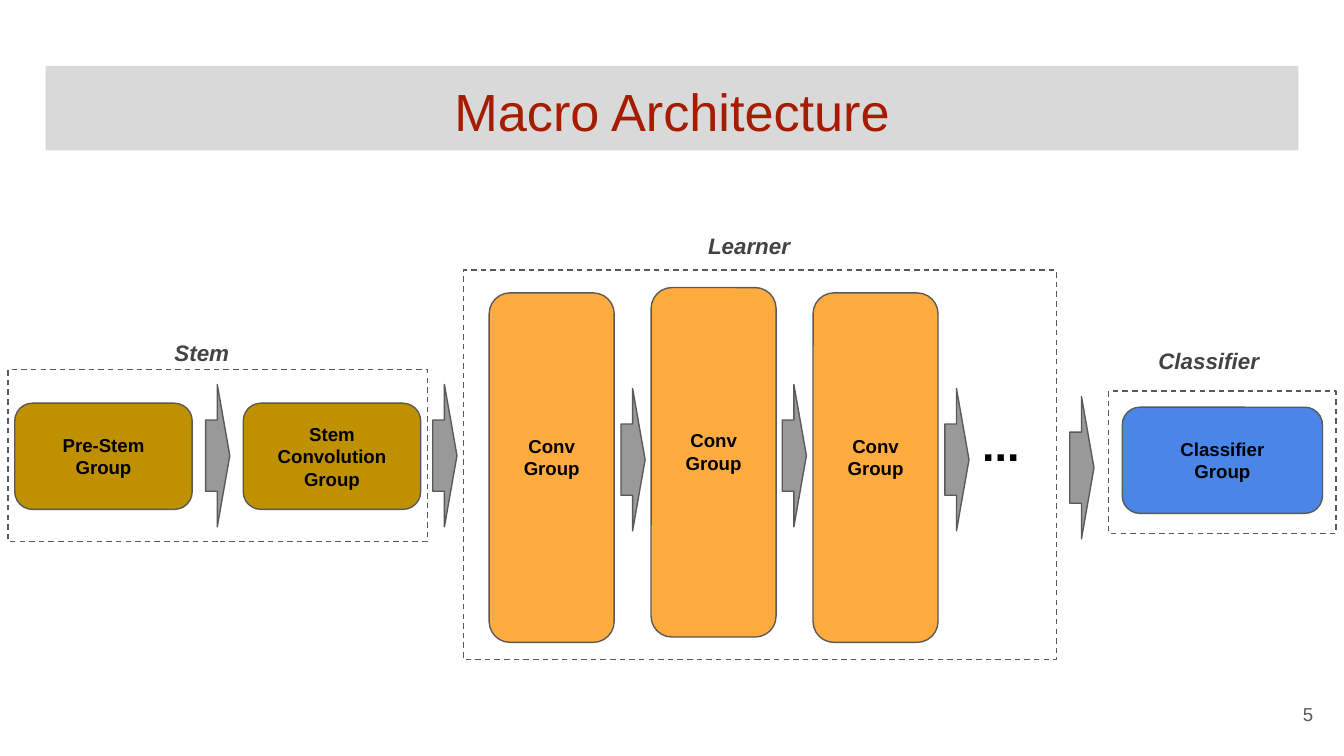
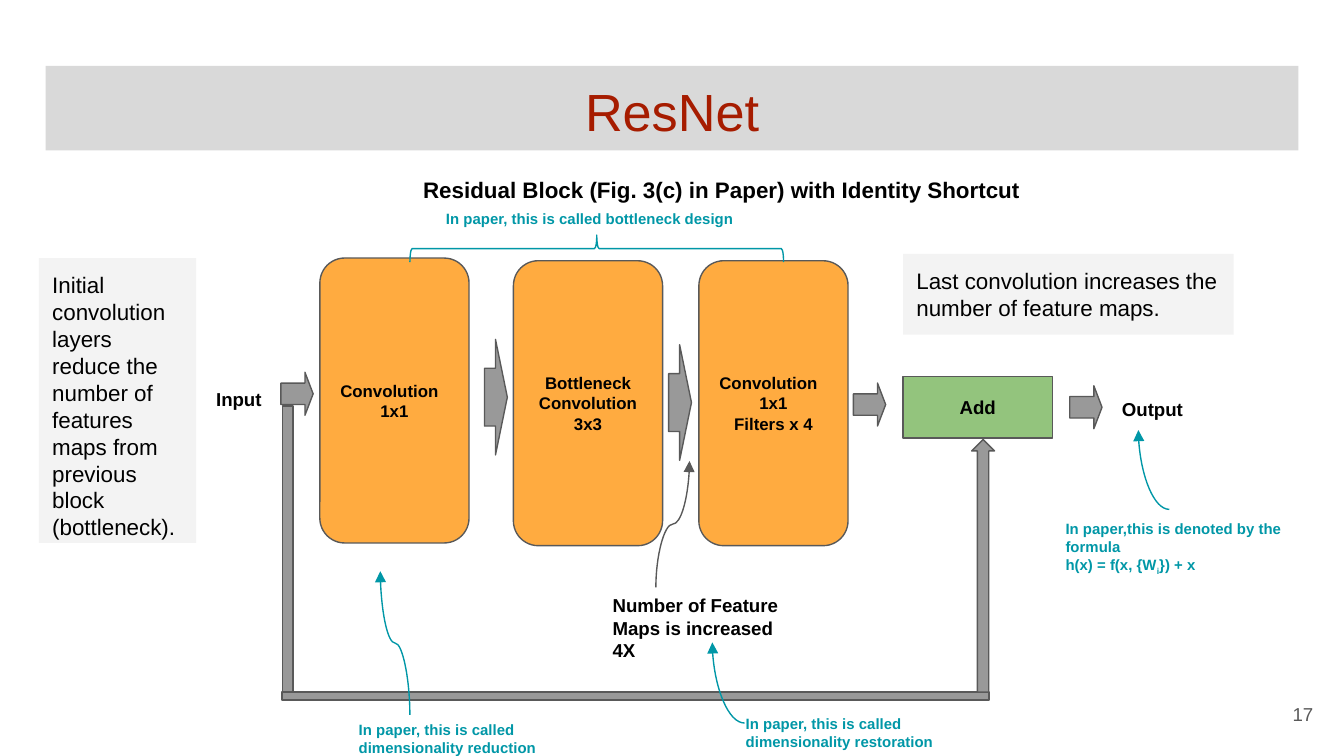
from copy import deepcopy

from lxml.etree import SubElement
from pptx import Presentation
from pptx.dml.color import RGBColor
from pptx.enum.dml import MSO_LINE
from pptx.enum.shapes import MSO_CONNECTOR, MSO_SHAPE
from pptx.enum.text import MSO_ANCHOR, MSO_AUTO_SIZE, PP_ALIGN
from pptx.oxml.ns import qn
from pptx.util import Inches, Pt

HUES = {
    "title": "A61C00", "band": "D9D9D9", "line": "595959", "arrow": "999999",
    "stem": "BF9000", "conv": "FFAB40", "class": "4A86E8", "add": "93C47D",
    "note": "F3F3F3", "teal": "0097A7", "group": "434343", "ink": "000000",
}
FONT = "Arial"
INSET = 0.1
SLIM = 0.26
LEFT, MID, RIGHT = PP_ALIGN.LEFT, PP_ALIGN.CENTER, PP_ALIGN.RIGHT


def rgb(name):
    """Return the named colour."""
    return RGBColor.from_string(HUES[name])


def style(frame, size, hue, bold, slant=False):
    """Format every run and line break of a text frame."""
    for para in frame.paragraphs:
        for run in para.runs:
            font = run.font
            font.name, font.size = FONT, Pt(size)
            font.bold, font.italic = bold, slant
            font.color.rgb = rgb(hue)
        for gap in para._p.findall(qn("a:br")):
            gap.append(deepcopy(para.runs[0]._r.rPr))


def put(shape, paras, size, hue="ink", bold=True, slant=False, align=LEFT,
        anchor=MSO_ANCHOR.TOP, foot=INSET):
    """Write paragraphs into a shape and return its text frame."""
    frame = shape.text_frame
    frame.word_wrap = True
    frame.vertical_anchor = anchor
    frame.margin_left = frame.margin_right = frame.margin_top = Inches(INSET)
    frame.margin_bottom = Inches(foot)
    for i, text in enumerate(paras):
        para = frame.add_paragraph() if i else frame.paragraphs[0]
        para.text = text
        para.alignment = align
    style(frame, size, hue, bold, slant)
    return frame


def draw(slide, kind, box, fill=None, line="line"):
    """Add a preset shape with an optional fill and outline."""
    shape = slide.shapes.add_shape(kind, *map(Inches, box))
    shape.shadow.inherit = False
    if fill:
        shape.fill.solid()
        shape.fill.fore_color.rgb = rgb(fill)
    else:
        shape.fill.background()
    if line:
        shape.line.color.rgb = rgb(line)
        shape.line.width = Pt(0.75)
    else:
        shape.line.fill.background()
    return shape


def label(slide, box, paras, size, **look):
    """Add a text box; a slim one grows downward with its text."""
    frame = put(slide.shapes.add_textbox(*map(Inches, box)), paras, size, **look)
    if box[3] == SLIM:
        frame.auto_size = MSO_AUTO_SIZE.SHAPE_TO_FIT_TEXT
    return frame


def block(slide, box, fill, paras, size=10, kind=MSO_SHAPE.ROUNDED_RECTANGLE,
          foot=INSET):
    """Add a filled block with centred bold text."""
    shape = draw(slide, kind, box, fill)
    return put(shape, paras, size, align=MID, anchor=MSO_ANCHOR.MIDDLE, foot=foot)


def note(slide, box, paras):
    """Add a pale remark panel."""
    put(draw(slide, MSO_SHAPE.RECTANGLE, box, "note", None), paras, 12, bold=False)


def zone(slide, box):
    """Add a dashed frame."""
    draw(slide, MSO_SHAPE.RECTANGLE, box).line.dash_style = MSO_LINE.DASH


def arrow(slide, box, tip):
    """Add a down arrow turned to point right."""
    shape = draw(slide, MSO_SHAPE.DOWN_ARROW, box, "arrow")
    shape.rotation = 270
    shape.adjustments[1] = tip


def curve(slide, start, end, hue="teal", hook=False):
    """Add a curved arrow that hooks upward or rises in an S."""
    (ax, ay), (bx, by) = start, end
    if hook:
        ends, turn = (bx, by, ax, ay), 180
    else:
        side = 1 if bx > ax else -1
        midx, midy = (ax + bx) / 2, (ay + by) / 2
        long, short = abs(by - ay) / 2, abs(bx - ax) / 2
        ends = (midx - side * long, midy - short, midx + side * long, midy + short)
        turn = 270 if side > 0 else 90
    link = slide.shapes.add_connector(MSO_CONNECTOR.CURVE, *map(Inches, ends))
    link.line.color.rgb = rgb(hue)
    link.line.width = Pt(0.75)
    props = link._element.spPr
    props.find(qn("a:xfrm")).set("rot", str(turn * 60000))
    if hook:
        props.find(qn("a:prstGeom")).set("prst", "curvedConnector2")
    SubElement(props.find(qn("a:ln")), qn("a:tailEnd"), type="triangle")
    SubElement(props, qn("a:effectLst"))


def start(deck, title, page):
    """Add a blank slide with its title band and page number."""
    slide = deck.slides.add_slide(deck.slide_layouts[6])
    band = draw(slide, MSO_SHAPE.RECTANGLE, (0.34, 0.49, 9.32, 0.63), "band", None)
    put(band, [title], 28, "title", bold=False, align=MID)
    label(slide, (9.27, 5.1, 0.6, 0.43), [page], 10, hue="line", bold=False,
          align=RIGHT, anchor=MSO_ANCHOR.MIDDLE)
    return slide


def macro(deck):
    """Build the macro architecture slide."""
    slide = start(deck, "Macro Architecture", "5")
    for box in ((0.06, 2.75, 3.12, 1.28), (3.45, 2.01, 4.41, 2.9),
                (8.25, 2.91, 1.69, 1.06)):
        zone(slide, box)
    for name, x, y, wide in (("Stem", 1.2, 2.42, 0.83), ("Learner", 5.17, 1.63, 0.83),
                             ("Classifier", 8.52, 2.48, 0.99)):
        label(slide, (x, y, wide, 0.43), [name], 12, hue="group", slant=True)
    block(slide, (0.11, 3, 1.32, 0.79), "stem", ["Pre-Stem\nGroup"])
    block(slide, (1.81, 3, 1.32, 0.79), "stem", ["Stem\nConvolution Group"])
    convs = ((2.18, ["Conv Group"]), (2.14, ["Conv Group"]), (2.18, ["Conv", "Group"]))
    for i, (y, paras) in enumerate(convs):
        block(slide, (3.64 + 1.205 * i, y, 0.93, 2.6), "conv", paras, foot=0.26)
    block(slide, (8.35, 3.03, 1.49, 0.79), "class", ["Classifier\nGroup"])
    label(slide, (7.21, 3, 0.83, 0.46), ["..."], 24)
    for x, y in ((1.09, 3.3), (2.78, 3.3), (4.18, 3.33), (5.38, 3.3),
                 (6.59, 3.33), (7.52, 3.39)):
        arrow(slide, (x, y, 1.06, 0.18), 0.517)


def resnet(deck):
    """Build the residual block slide."""
    slide = start(deck, "ResNet", "17")
    layers = ((2.38, 1.92, ["Convolution", "1x1"], LEFT),
              (3.82, 1.94, ["Bottleneck", "Convolution", "3x3"], MID),
              (5.2, 1.94, ["Convolution", "1x1", "Filters x 4"], LEFT))
    for x, y, paras, align in layers:
        frame = block(slide, (x, y, 1.11, 2.12), "conv", paras, 9)
        frame.paragraphs[0].alignment = align
    block(slide, (6.72, 2.8, 1.11, 0.46), "add", ["Add"], kind=MSO_SHAPE.RECTANGLE)

    for x, y in ((3.26, 2.87), (4.63, 2.91)):
        arrow(slide, (x, y, 0.86, 0.17), 0.517)
    for x, y in ((2.05, 2.81), (6.31, 2.89), (7.92, 2.91)):
        arrow(slide, (x, y, 0.32, 0.24), 0.253)
    for kind, box in ((MSO_SHAPE.RECTANGLE, (2.1, 3.02, 0.08, 2.19)),
                      (MSO_SHAPE.RECTANGLE, (2.1, 5.15, 5.26, 0.06)),
                      (MSO_SHAPE.UP_ARROW, (7.23, 3.27, 0.17, 1.88))):
        draw(slide, kind, box, "arrow")

    label(slide, (3.05, 1.21, 4.74, 0.35),
          ["Residual Block (Fig. 3(c) in Paper) with Identity Shortcut"], 12)
    for box, text in (((1.51, 2.8, 0.58, SLIM), "Input"),
                      ((8.25, 2.88, 0.67, SLIM), "Output"),
                      ((4.46, 4.32, 1.49, 0.66), "Number of Feature Maps is increased 4X")):
        label(slide, box, [text], 10)
    for x, y, wide, end in ((3.22, 1.49, 2.46, "bottleneck design"),
                            (2.57, 5.26, 2.05, "dimensionality reduction"),
                            (5.45, 5.22, 2.05, "dimensionality restoration")):
        label(slide, (x, y, wide, SLIM), [f"In paper, this is called {end}"], 8, hue="teal")
    frame = label(slide, (7.83, 3.77, 2.17, 0.46),
                  ["In paper,this is denoted by the formula", "h(x) = f(x, {W"], 8)
    para = frame.paragraphs[-1]
    for text in ("i", "}) + x"):
        para.add_run().text = text
    style(frame, 8, "teal", True)
    para.runs[1]._r.rPr.set("baseline", "-25000")

    brace = draw(slide, MSO_SHAPE.LEFT_BRACE, (4.34, 0.46, 0.2, 2.78), line="teal")
    brace.rotation = 90
    curve(slide, (4.88, 4.37), (5.13, 3.43), "line")
    curve(slide, (3.05, 5.32), (2.83, 4.25))
    curve(slide, (5.54, 5.38), (5.3, 4.78), hook=True)
    curve(slide, (8.7, 3.79), (8.47, 3.2), hook=True)

    note(slide, (0.29, 1.92, 1.17, 2.12),
         ["Initial convolution layers reduce the number of features maps from previous block",
          "(bottleneck)."])
    note(slide, (6.72, 1.89, 2.46, 0.6),
         ["Last convolution increases the number of feature maps."])


def main():
    """Build and save the deck."""
    deck = Presentation()
    deck.slide_width = Inches(10)
    deck.slide_height = Inches(10) * 9 // 16
    macro(deck)
    resnet(deck)
    deck.save("out.pptx")


if __name__ == "__main__":
    main()
